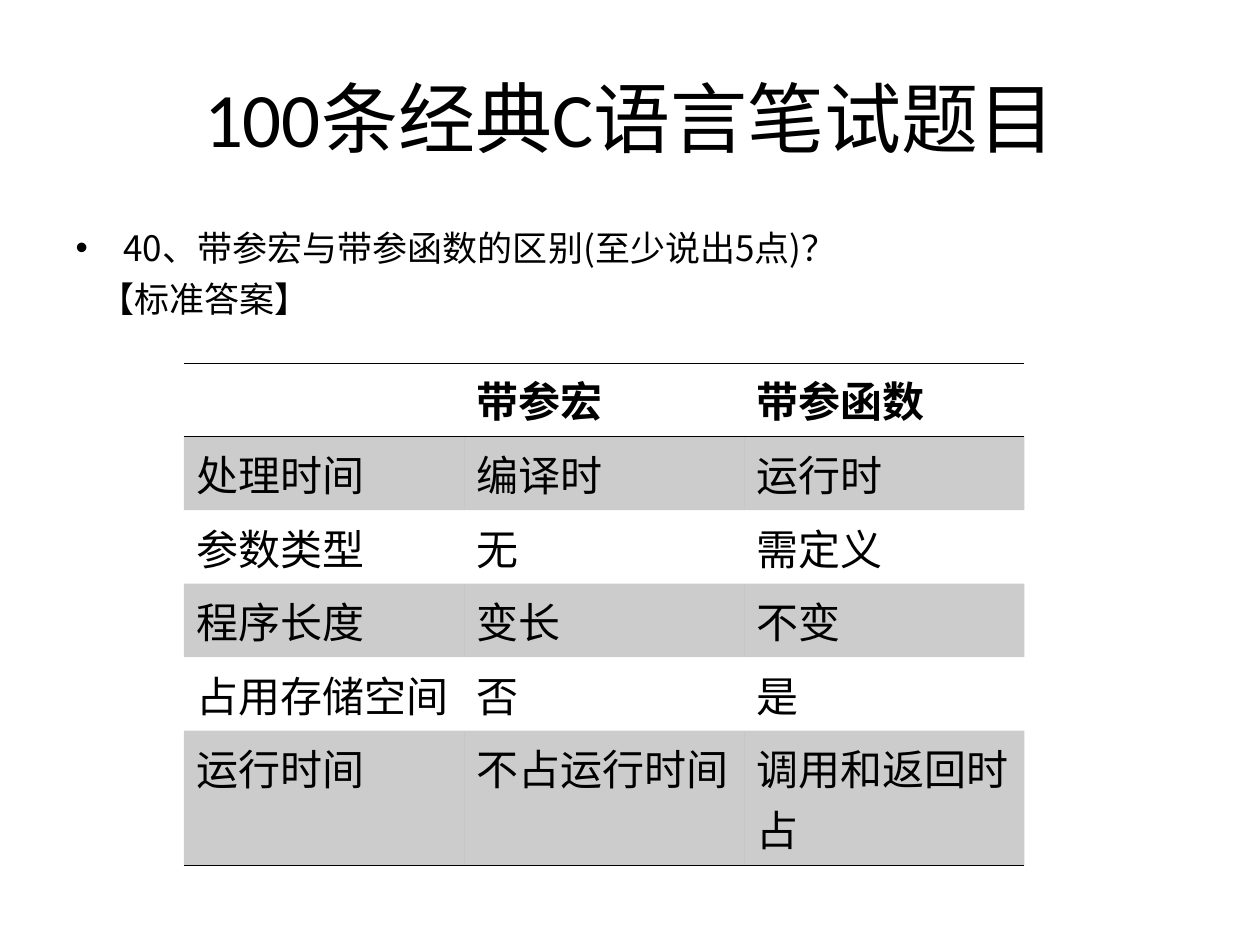
"""Build a slide comparing macros and functions with parameters."""
from dataclasses import dataclass

from lxml import etree
from pptx import Presentation, util as u
from pptx.dml.color import RGBColor
from pptx.enum import text
from pptx.oxml import ns

SANS = "Noto Sans CJK SC"
LATIN = "Calibri"
INK = "000000"


@dataclass
class Row:
    cells: tuple[str, str, str]
    high: float = 0.5
    head: bool = False
    shade: bool = False
    last: bool = False


ROWS = [
    Row(("", "带参宏", "带参函数"), head=True),
    Row(("处理时间", "编译时", "运行时"), shade=True),
    Row(("参数类型", "无", "需定义")),
    Row(("程序长度", "变长", "不变"), shade=True),
    Row(("占用存储空间", "否", "是")),
    Row(("运行时间", "不占运行时间", "调用和返回时占"), high=0.9, shade=True, last=True),
]
ASK = [
    ("40", SANS), ("、带参宏与带参函数的区别", LATIN), ("(", SANS), ("至少说出", LATIN),
    ("5", SANS), ("点", LATIN), (")", SANS), ("？", LATIN),
]
REPLY = [("【", SANS), ("标准答案", LATIN), ("】", SANS)]


def tint(color, value: str) -> None:
    color.rgb = RGBColor.from_string(value)


def sub(node, tag: str, **attrs: str):
    return etree.SubElement(node, ns.qn(tag), **attrs)


def write(para, words: str, size: float = 24, face: str = LATIN,
          bold: bool = False, color: str = INK) -> None:
    run = para.add_run()
    run.text = words
    font = run.font
    font.size, font.name, font.bold = u.Pt(size), face, bold
    font.fill.solid()
    tint(font.fill.fore_color, color)
    sub(font._element, "a:ea", typeface=SANS)


def place(shape, x: float, y: float, w: float, h: float) -> None:
    shape.left, shape.top = u.Inches(x), u.Inches(y)
    shape.width, shape.height = u.Inches(w), u.Inches(h)


def item(para, runs: list[tuple[str, str]], hang: float, gap: float, mark: str = "") -> None:
    props = para._p.get_or_add_pPr()
    props.set("marL", str(u.Inches(0.38)))
    props.set("indent", str(u.Inches(-hang)))
    para.space_before = u.Pt(gap)
    if mark:
        sub(props, "a:buFont", typeface="Arial")
        sub(props, "a:buChar", char=mark)
    else:
        sub(props, "a:buNone")
    for words, face in runs:
        write(para, words, size=20, face=face)


def edge(props, side: str, shown: bool) -> None:
    line = sub(props, f"a:ln{side}", w=str(u.Pt(0.45)))
    if shown:
        sub(sub(line, "a:solidFill"), "a:srgbClr", val=INK)
    else:
        sub(line, "a:noFill")


def dress(cell, row: Row, top: bool) -> None:
    props = cell._tc.get_or_add_tcPr()
    for side, shown in (("L", False), ("R", False), ("T", top), ("B", row.head or row.last)):
        edge(props, side, shown)
    if row.shade:
        hue = sub(sub(props, "a:solidFill"), "a:srgbClr", val=INK)
        sub(hue, "a:alpha", val="20000")
    else:
        sub(props, "a:noFill")


def grid(slide, rows: list[Row]) -> None:
    frame = slide.shapes.add_table(len(rows), 3, u.Inches(1.46), u.Inches(2.88),
                                   u.Inches(6.67), u.Inches(sum(r.high for r in rows)))
    table = frame.table
    table.first_row = table.horz_banding = False
    for i, row in enumerate(rows):
        table.rows[i].height = u.Inches(row.high)
        for j, words in enumerate(row.cells):
            cell = table.cell(i, j)
            if words:
                write(cell.text_frame.paragraphs[0], words, bold=row.head)
            dress(cell, row, top=i < 2)


def main() -> None:
    deck = Presentation()
    deck.slide_width, deck.slide_height = u.Inches(10), u.Inches(7.5)
    slide = deck.slides.add_slide(deck.slide_layouts[1])
    title, body = slide.placeholders
    place(title, 0.5, 0.3, 9, 1.25)
    title.text_frame.vertical_anchor = text.MSO_ANCHOR.MIDDLE
    head = title.text_frame.paragraphs[0]
    head.alignment = text.PP_ALIGN.CENTER
    write(head, "100条经典C语言笔试题目", size=44)
    place(body, 0.5, 1.75, 9, 4.95)
    item(body.text_frame.paragraphs[0], ASK, hang=0.38, gap=0, mark="•")
    item(body.text_frame.add_paragraph(), REPLY, hang=0.19, gap=5)
    grid(slide, ROWS)
    deck.save("out.pptx")


if __name__ == "__main__":
    main()
